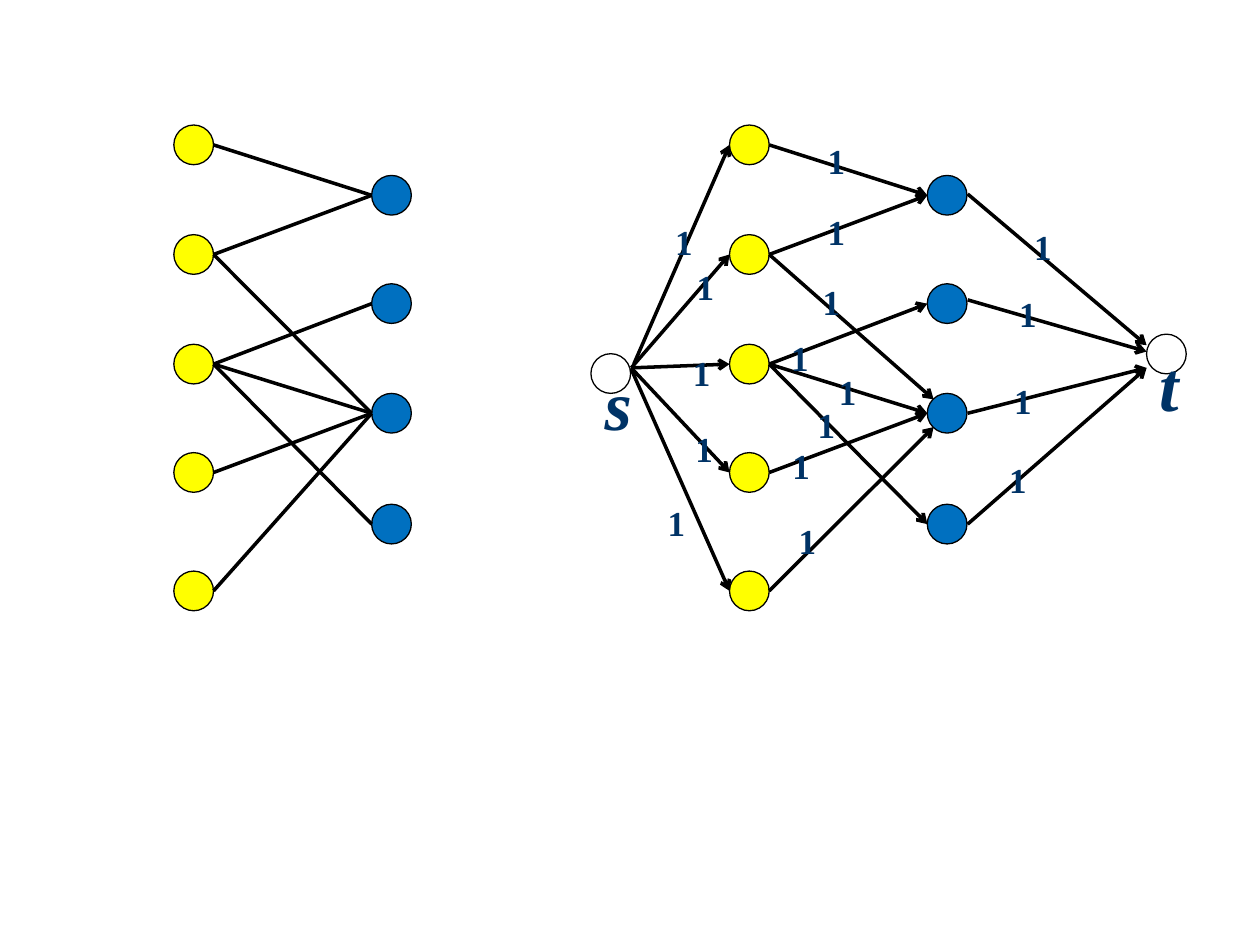
from lxml.etree import SubElement
from pptx import Presentation
from pptx.dml.color import RGBColor
from pptx.enum.shapes import MSO_CONNECTOR, MSO_SHAPE
from pptx.enum.text import MSO_AUTO_SIZE
from pptx.oxml.ns import qn
from pptx.util import Inches, Pt

deck = Presentation()
deck.slide_width = Inches(10)
deck.slide_height = Inches(7.5)
page = deck.slides.add_slide(deck.slide_layouts[6])
color = RGBColor.from_string
cell = deck.slide_width / 100


def add_edge(start, end, arrow=True):
    points = [round(value * cell) for value in (*start, *end)]
    edge = page.shapes.add_connector(MSO_CONNECTOR.STRAIGHT, *points)
    edge.line.color.rgb = color("000000")
    edge.line.width = Pt(2)
    if arrow:
        SubElement(edge.line._get_or_add_ln(), qn("a:tailEnd"), type="arrow")
    SubElement(edge._element.spPr, qn("a:effectLst"))


def add_label(text, column, row, height, size, italic=False):
    bounds = [round(value * cell) for value in (column, row, 3.9, height)]
    box = page.shapes.add_textbox(*bounds)
    box.text_frame.word_wrap = True
    box.text_frame.auto_size = MSO_AUTO_SIZE.SHAPE_TO_FIT_TEXT
    box.text_frame.text = text
    font = box.text_frame.paragraphs[0].runs[0].font
    font.name = "Times New Roman"
    font.size = Pt(size)
    font.bold = True
    font.italic = italic
    font.color.rgb = color("003366")


diameter = 3.15
yellow_rows = [11.5, 20.2, 28.9, 37.5, 46.9]
blue_rows = [15.5, 24.1, 32.8, 41.6]
matches = [(0, 0), (1, 0), (1, 2), (2, 1), (2, 2), (2, 3), (3, 2), (4, 2)]
bent_ends = {(1, 2): (74.1, 31.7), (4, 2): (74.1, 33.9)}
graph_lefts = [13.8, 57.9]
blue_offset = 15.7

nodes = []
for left in graph_lefts:
    nodes += [(left, row, "FFFF00") for row in yellow_rows]
    nodes += [(left + blue_offset, row, "0070C0") for row in blue_rows]
nodes += [(46.9, 29.65, "FFFFFF"), (91, 28.1, "FFFFFF")]

for left, middle, fill in nodes:
    bounds = [round(value * cell) for value in (left, middle - diameter / 2, diameter, diameter)]
    node = page.shapes.add_shape(MSO_SHAPE.OVAL, *bounds)
    node.shadow.inherit = False
    node.fill.solid()
    node.fill.fore_color.rgb = color(fill)
    node.line.color.rgb = color("000000")
    node.line.width = Pt(0.75)

for left, directed in zip(graph_lefts, (False, True)):
    for yellow, blue in matches:
        end = (left + blue_offset, blue_rows[blue])
        if directed:
            end = bent_ends.get((yellow, blue), end)
        add_edge((left + diameter, yellow_rows[yellow]), end, directed)

source_starts = [(50.3, 28.9), (50.1, 29.2), (50.1, 29.2), (50.1, 29.2), (50.1, 29.3)]
for start, row in zip(source_starts, yellow_rows):
    add_edge(start, (graph_lefts[1], row))

sink_starts = [15.4, 23.8, 32.8, 41.6]
sink_ends = [27.4, 27.9, 29.2, 29.2]
for start_row, end_row in zip(sink_starts, sink_ends):
    add_edge((76.8, start_row), (91, end_row))

add_label("s", 47, 28.1, 7.7, 40, True)
add_label("t", 91, 26.6, 7.7, 40, True)

capacity_places = [
    (52.6, 17), (54.3, 20.6), (54, 27.4), (54.2, 33.4), (52, 39.3),
    (64.7, 10.6), (64.7, 16.2), (64.3, 21.8), (61.8, 26.2),
    (65.6, 28.9), (63.9, 31.5), (61.9, 34.8), (62.4, 40.7),
    (81.1, 17.4), (79.9, 22.7), (79.5, 29.6), (79.1, 35.9),
]
for column, row in capacity_places:
    add_label("1", column, row, 4.4, 20)

deck.save("out.pptx")
